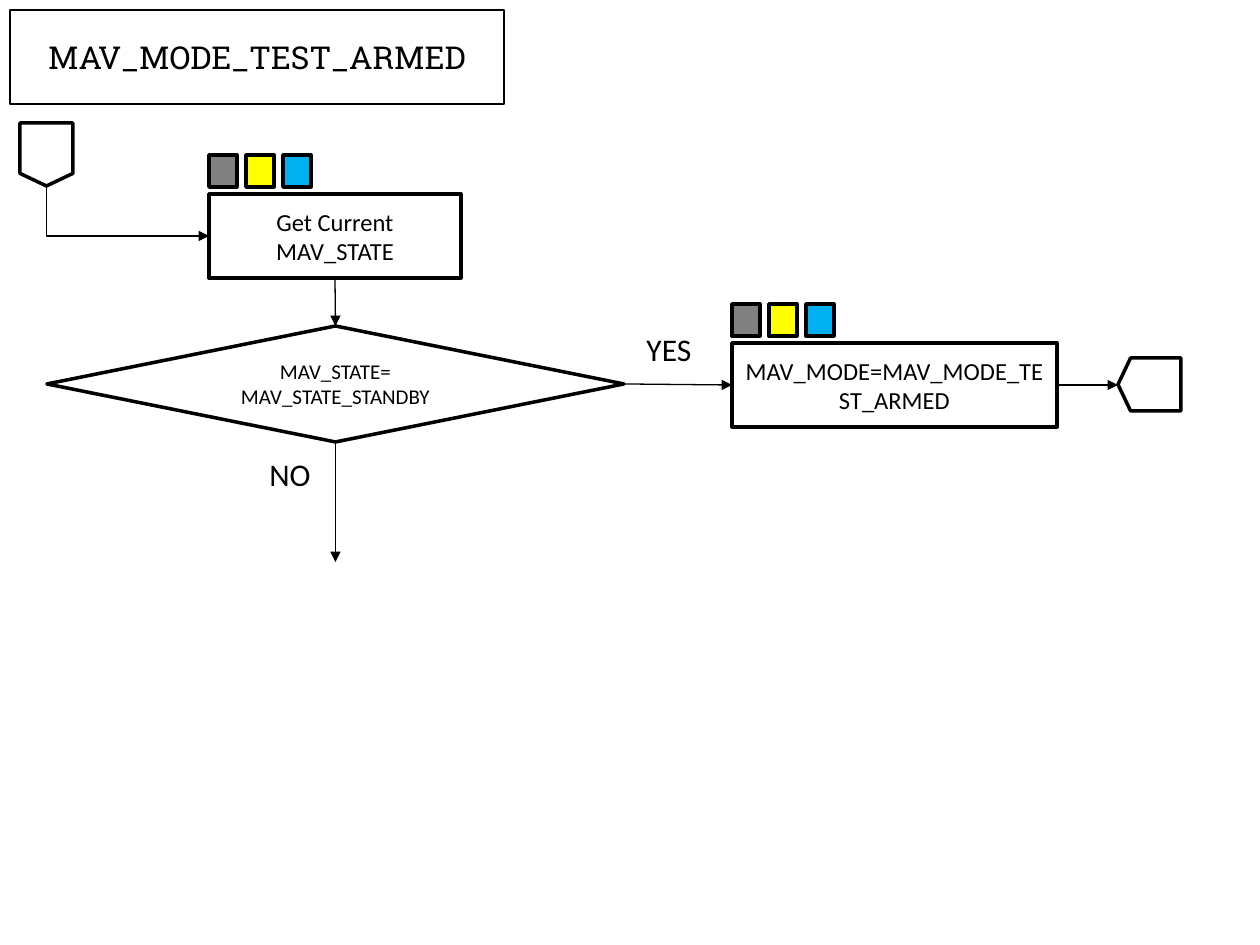
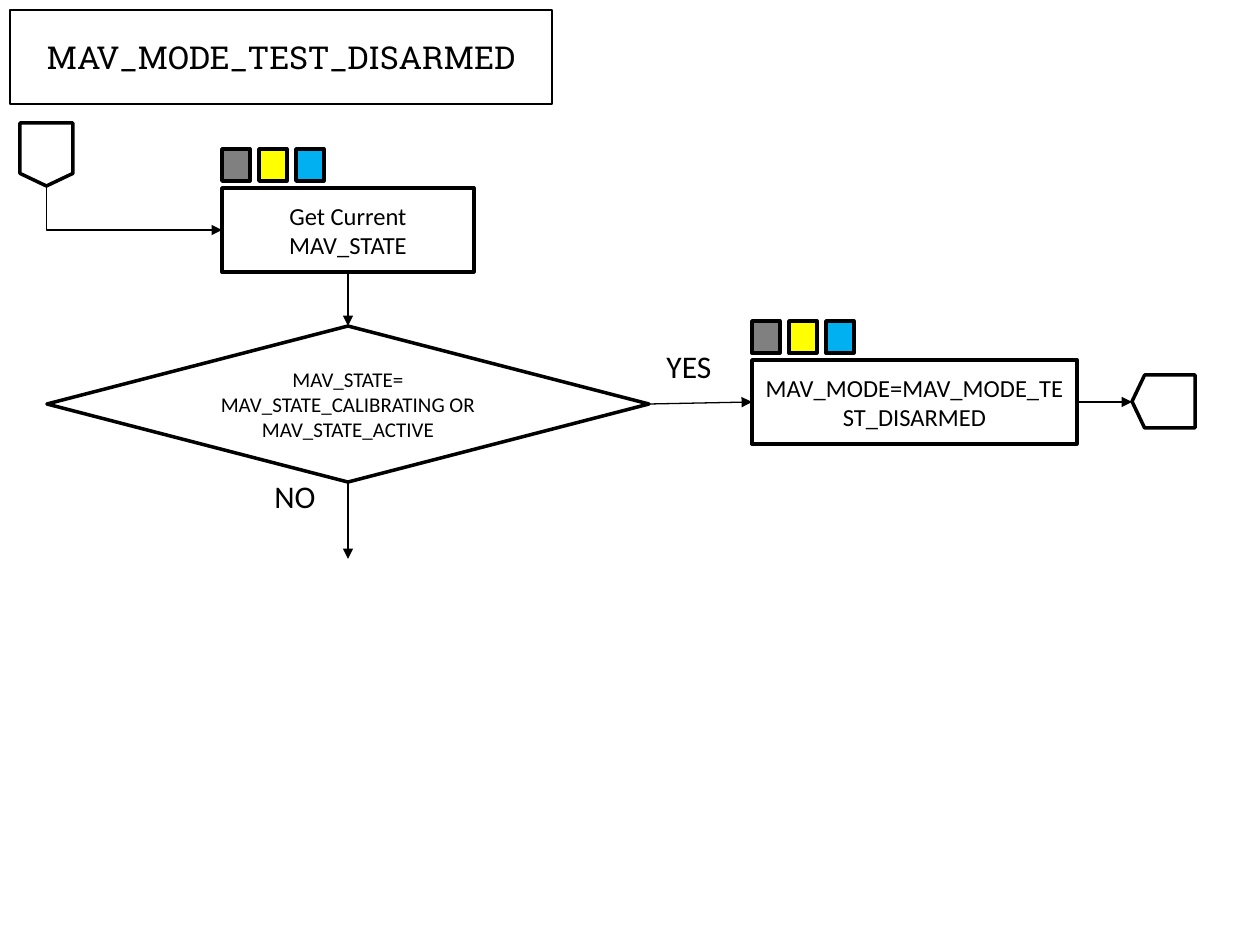
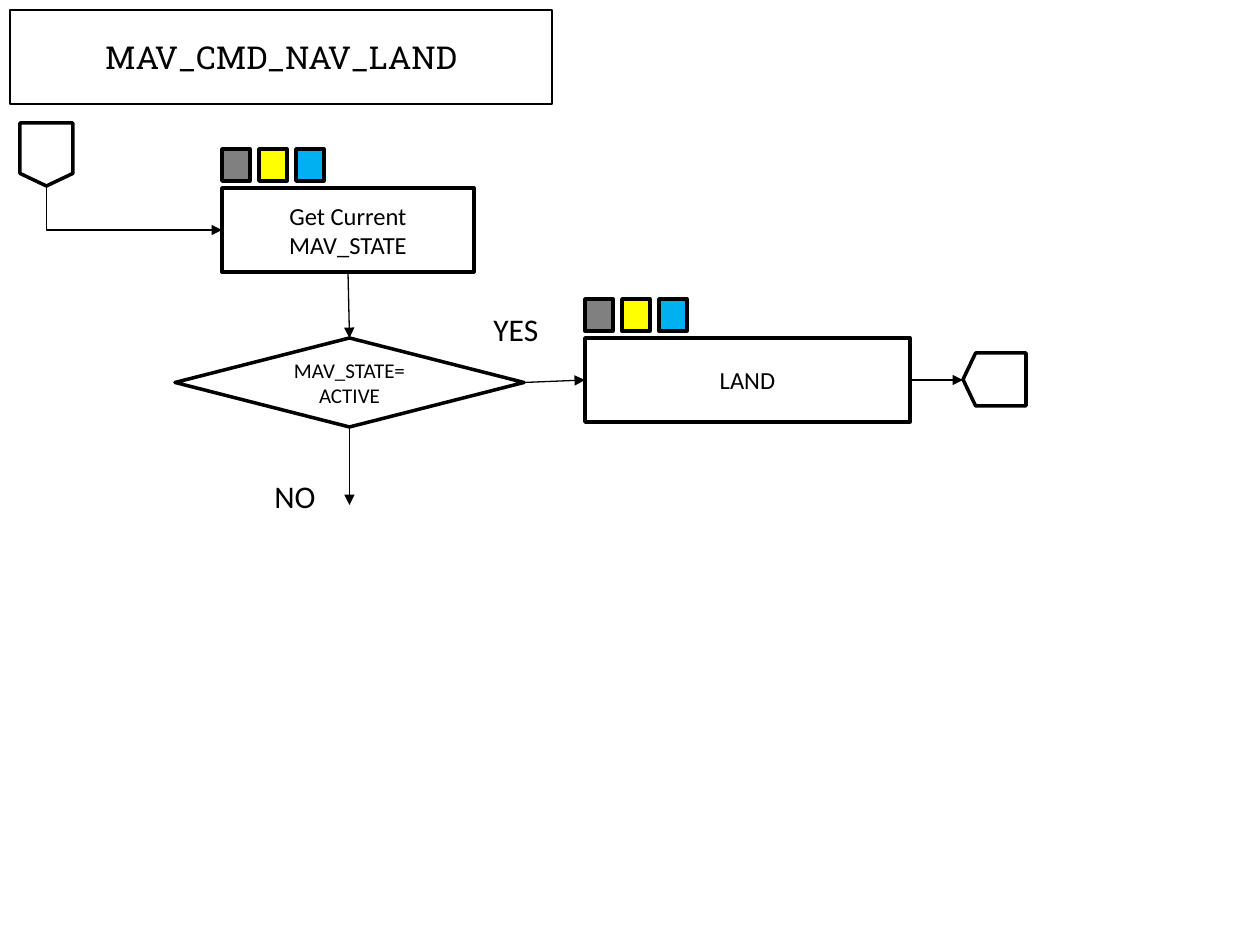
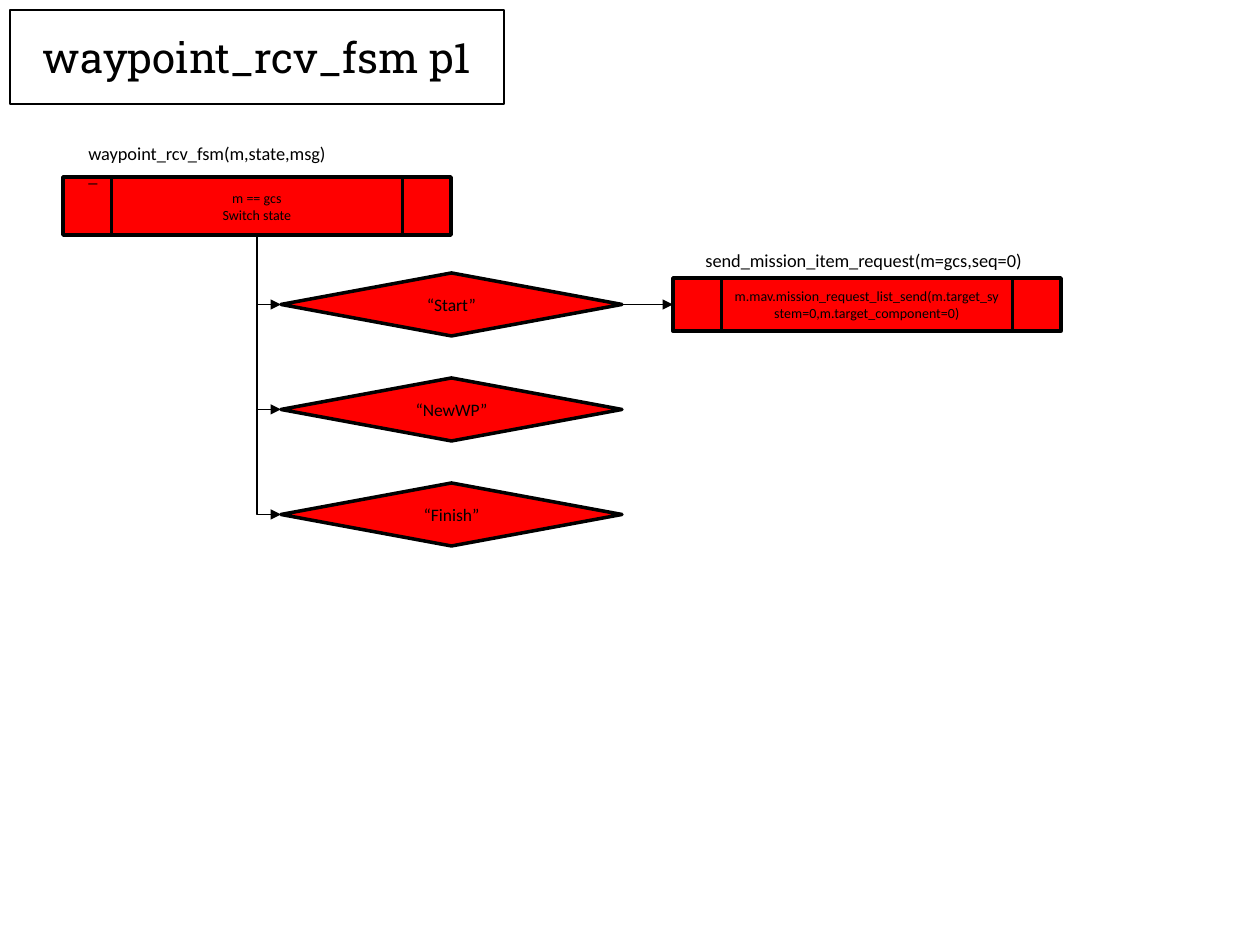
from lxml import etree
from pptx import Presentation
from pptx import util as u
from pptx.dml.color import RGBColor
from pptx.enum import shapes, text
from pptx.oxml.ns import qn

EMU_PER_PX = 914400 / 126
BLACK, RED = "000000", "FF0000"
SWATCH_COLORS = ["808080", "FFFF00", "00B0F0"]
BODY_FONT, TITLE_FONT = "Calibri", "Roboto Slab"
THIN, THICK = 0.75, 2
TOP, LEFT, BOTTOM, RIGHT = range(4)  # connection sites
TITLE_ONLY = 5
SHAPE = shapes.MSO_SHAPE
CENTERED = {"word_wrap": True, "auto_size": text.MSO_AUTO_SIZE.NONE,
            "vertical_anchor": text.MSO_ANCHOR.MIDDLE}
FITTED = {"word_wrap": False, "auto_size": text.MSO_AUTO_SIZE.SHAPE_TO_FIT_TEXT,
          "vertical_anchor": text.MSO_ANCHOR.TOP}

FLOWS = [
    {"title": "MAV_MODE_TEST_ARMED", "title_width": 494, "process": (209, 194),
     "decision": (47, 326, 577, 116), "question": "MAV_STATE=\nMAV_STATE_STANDBY",
     "action": (732, 343), "action_text": "MAV_MODE=MAV_MODE_TEST_ARMED",
     "yes": (634, 324), "no": (257, 449), "no_end": 562, "exit_left": 1123},
    {"title": "MAV_MODE_TEST_DISARMED", "title_width": 542, "process": (222, 188),
     "decision": (47, 326, 602, 156),
     "question": "MAV_STATE=\nMAV_STATE_CALIBRATING OR MAV_STATE_ACTIVE",
     "action": (752, 360), "action_text": "MAV_MODE=MAV_MODE_TEST_DISARMED",
     "yes": (654, 341), "no": (262, 471), "no_end": 559, "exit_left": 1137},
    {"title": "MAV_CMD_NAV_LAND", "title_width": 542, "process": (222, 188),
     "decision": (175, 338, 349, 89), "question": "MAV_STATE=\nACTIVE",
     "action": (585, 338), "action_text": "LAND",
     "yes": (481, 304), "no": (262, 471), "no_end": 505, "exit_left": 968},
]


def px(length):
    return u.Emu(round(length * EMU_PER_PX))


def rgb(color):
    return RGBColor.from_string(color)


def set_attributes(target, values):
    for name, value in values.items():
        setattr(target, name, value)


def set_line(shape, width):
    shape.line.color.rgb = rgb(BLACK)
    shape.line.width = u.Pt(width)


def write(shape, content, size, font=BODY_FONT, frame=CENTERED,
          align=text.PP_ALIGN.CENTER):
    """Fill a shape with one paragraph per line of content."""
    set_attributes(shape.text_frame, frame)
    shape.text_frame.text = content
    for paragraph in shape.text_frame.paragraphs:
        paragraph.alignment = align
        run_font = paragraph.runs[0].font
        set_attributes(run_font, {"name": font, "size": u.Pt(size)})
        run_font.color.rgb = rgb(BLACK)


def add_box(slide, kind, box, content="", size=14, fill=None):
    shape = slide.shapes.add_shape(kind, *map(px, box))
    shape.shadow.inherit = False
    if fill:
        shape.fill.solid()
        shape.fill.fore_color.rgb = rgb(fill)
    else:
        shape.fill.background()
    set_line(shape, THICK)
    if content:
        write(shape, content, size)
    return shape


def add_label(slide, box, content, size):
    label = slide.shapes.add_textbox(*map(px, box))
    write(label, content, size, frame=FITTED, align=text.PP_ALIGN.LEFT)


def add_arrow(slide, start, site, end=None, end_site=None, point=(0, 0),
              kind=shapes.MSO_CONNECTOR.STRAIGHT):
    """Arrow from a site of one shape to a site of another, or to a free point."""
    arrow = slide.shapes.add_connector(kind, 0, 0, *map(px, point))
    arrow.begin_connect(start, site)
    if end is not None:
        arrow.end_connect(end, end_site)
    set_line(arrow, THIN)
    properties = arrow._element.spPr
    etree.SubElement(properties.find(qn("a:ln")), qn("a:tailEnd"), type="triangle")
    etree.SubElement(properties, qn("a:effectLst"))
    return arrow


def add_elbow(slide, start, end):
    """Arrow down from the bottom of start, then right into end."""
    arrow = add_arrow(slide, start, BOTTOM, end, LEFT,
                      kind=shapes.MSO_CONNECTOR.ELBOW)
    across, down = arrow.end_x - arrow.begin_x, arrow.end_y - arrow.begin_y
    shift = (across - down) // 2
    set_attributes(arrow, {"left": arrow.left + shift, "top": arrow.top - shift,
                           "width": down, "height": across})
    properties = arrow._element.spPr
    frame = properties.find(qn("a:xfrm"))
    frame.set("rot", "16200000")
    frame.set("flipH", "1")
    properties.find(qn("a:prstGeom")).set("prst", "bentConnector2")


def add_titled_slide(presentation, content, width, size=18):
    slide = presentation.slides.add_slide(presentation.slide_layouts[TITLE_ONLY])
    title = slide.shapes.title
    set_attributes(title, {"left": px(10), "top": px(10),
                           "width": px(width), "height": px(94)})
    set_line(title, THIN)
    write(title, content, size, TITLE_FONT)
    return slide


def add_step(slide, left, top, width, content):
    """Process box with its row of colour swatches above."""
    step = add_box(slide, SHAPE.RECTANGLE, (left, top, width, 84), content)
    for index, color in enumerate(SWATCH_COLORS):
        add_box(slide, SHAPE.RECTANGLE, (left + 37 * index, top - 39, 28, 32), fill=color)
    return step


def add_mode_slide(presentation, flow):
    slide = add_titled_slide(presentation, flow["title"], flow["title_width"])

    # Entry, state lookup and decision
    entry = add_box(slide, SHAPE.FLOWCHART_OFFPAGE_CONNECTOR, (20, 123, 53, 63))
    process = add_step(slide, *flow["process"], 252, "Get Current MAV_STATE")
    decision = add_box(slide, SHAPE.FLOWCHART_DECISION, flow["decision"],
                       flow["question"], 12)
    add_elbow(slide, entry, process)
    add_arrow(slide, process, BOTTOM, decision, TOP)

    # Yes branch with its exit
    action_left, action_top = flow["action"]
    action = add_step(slide, action_left, action_top, 325, flow["action_text"])
    add_arrow(slide, decision, RIGHT, action, LEFT)
    add_label(slide, (*flow["yes"], 71, 50), "YES", 18)
    leave = add_box(slide, SHAPE.FLOWCHART_OFFPAGE_CONNECTOR,
                    (flow["exit_left"], action_top + 10, 53, 63))
    leave.rotation = 90
    add_arrow(slide, action, RIGHT, point=(flow["exit_left"] - 5, action_top + 42))

    # No branch
    left, _, width, _ = flow["decision"]
    add_arrow(slide, decision, BOTTOM, point=(left + width / 2, flow["no_end"]))
    add_label(slide, (*flow["no"], 73, 50), "NO", 18)


def add_waypoint_slide(presentation):
    slide = add_titled_slide(presentation, "waypoint_rcv_fsm p1", 494, 24)

    # State switch
    switch = add_box(slide, SHAPE.FLOWCHART_PREDEFINED_PROCESS, (63, 177, 388, 58),
                     "m == gcs\nSwitch state", 8, RED)
    add_label(slide, (76, 136, 268, 57), "waypoint_rcv_fsm(m,state,msg)\n_", 10.5)

    # One decision for each state
    decisions = []
    for index, state in enumerate(["Start", "NewWP", "Finish"]):
        decision = add_box(slide, SHAPE.FLOWCHART_DECISION,
                           (281, 273 + 105 * index, 341, 63), f"“{state}”", 10, RED)
        add_elbow(slide, switch, decision)
        decisions.append(decision)

    # Request sent on start
    request = add_box(
        slide, SHAPE.FLOWCHART_PREDEFINED_PROCESS, (673, 278, 388, 53),
        "m.mav.mission_request_list_send(m.target_system=0,m.target_component=0)", 8, RED)
    add_label(slide, (693, 243, 348, 35), "send_mission_item_request(m=gcs,seq=0)", 10.5)
    add_arrow(slide, decisions[0], RIGHT, request, LEFT)


def main():
    presentation = Presentation()
    presentation.slide_width, presentation.slide_height = px(1260), px(945)
    for flow in FLOWS:
        add_mode_slide(presentation, flow)
    add_waypoint_slide(presentation)
    presentation.save("out.pptx")


if __name__ == "__main__":
    main()
